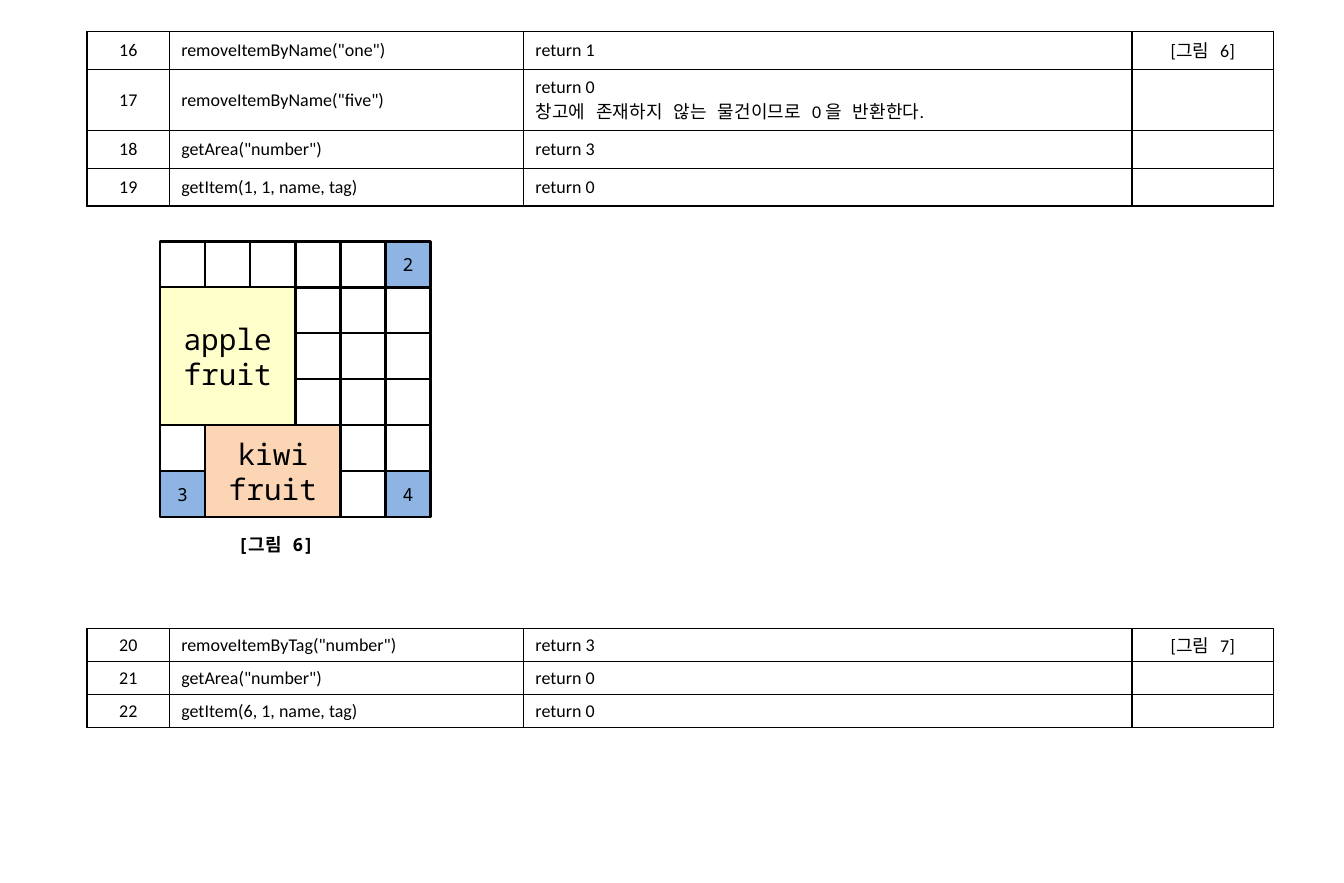
import pptx
import pptx.util
import pptx.dml.color
import pptx.enum.shapes
import pptx.enum.text
import pptx.oxml.ns
import lxml.etree

Inches = pptx.util.Inches
Pt = pptx.util.Pt
RGBColor = pptx.dml.color.RGBColor
Align = pptx.enum.text.PP_ALIGN
Anchor = pptx.enum.text.MSO_ANCHOR
qn = pptx.oxml.ns.qn

BLACK = RGBColor(0x00, 0x00, 0x00)
BLUE = RGBColor(0x8E, 0xB4, 0xE3)
YELLOW = RGBColor(0xFF, 0xFF, 0xCC)
PEACH = RGBColor(0xFC, 0xD5, 0xB5)

TABLE_FONT = "Calibri"
MONO_FONT = "Noto Sans Mono"
COLUMN_WIDTHS = [0.7, 3.01, 5.17, 1.2]
GRID_LEFT, GRID_TOP = 1.36, 2.05
CELL_WIDTH, CELL_HEIGHT = 0.38, 0.39
GRID_SIZE = 6

REMOVE_BY_NAME_CALLS = [
    ("16", 'removeItemByName("one")', "return 1", "[그림 6]"),
    ("17", 'removeItemByName("five")',
     "return 0\n창고에 존재하지 않는 물건이므로 0 을 반환한다.", ""),
    ("18", 'getArea("number")', "return 3", ""),
    ("19", "getItem(1, 1, name, tag)", "return 0", ""),
]
REMOVE_BY_TAG_CALLS = [
    ("20", 'removeItemByTag("number")', "return 3", "[그림 7]"),
    ("21", 'getArea("number")', "return 0", ""),
    ("22", "getItem(6, 1, name, tag)", "return 0", ""),
]
NUMBERED_CELLS = {(0, 5): "2", (5, 0): "3", (5, 5): "4"}
STORED_ITEMS = [
    ("apple fruit", 1, 0, 3, 3, YELLOW),
    ("kiwi fruit", 4, 1, 2, 3, PEACH),
]


class WarehousePage:
    def __init__(self, deck):
        self.page = deck.slides.add_slide(deck.slide_layouts[6])

    def add_text(self, frame, text, font, size=11, align=Align.LEFT, bold=False):
        for index, line in enumerate(text.split("\n")):
            para = frame.paragraphs[0] if index == 0 else frame.add_paragraph()
            para.alignment = align
            if not line:
                ending = lxml.etree.SubElement(para._p, qn("a:endParaRPr"))
                ending.set("sz", str(size * 100))
                continue
            span = para.add_run()
            span.text = line
            span.font.name = font
            span.font.size = Pt(size)
            span.font.bold = bold
            span.font.color.rgb = BLACK
            east_asian = lxml.etree.SubElement(span.font._element, qn("a:ea"))
            east_asian.set("typeface", MONO_FONT)

    def border(self, cell):
        properties = cell._tc.get_or_add_tcPr()
        for index, side in enumerate(("lnL", "lnR", "lnT", "lnB")):
            line = lxml.etree.Element(qn("a:" + side), w=str(Pt(1)))
            fill = lxml.etree.SubElement(line, qn("a:solidFill"))
            lxml.etree.SubElement(fill, qn("a:srgbClr"), val=str(BLACK))
            properties.insert(index, line)

    def table(self, top, calls, heights, margin):
        frame = self.page.shapes.add_table(
            len(calls), len(COLUMN_WIDTHS), Inches(0.74), Inches(top),
            Inches(sum(COLUMN_WIDTHS)), Inches(sum(heights)))
        table = frame.table
        table.first_row = False
        table.horz_banding = False
        for column, width in zip(table.columns, COLUMN_WIDTHS):
            column.width = Inches(width)
        for row, height, texts in zip(table.rows, heights, calls):
            row.height = Inches(height)
            for index, (cell, text) in enumerate(zip(row.cells, texts)):
                cell.fill.background()
                cell.vertical_anchor = Anchor.MIDDLE
                cell.margin_top = cell.margin_bottom = Inches(margin)
                align = Align.CENTER if index in (0, 3) else Align.LEFT
                self.add_text(cell.text_frame, text, TABLE_FONT, align=align)
                self.border(cell)

    def block(self, group, row, column, rows=1, columns=1, color=None, text="", size=11):
        box = group.shapes.add_shape(
            pptx.enum.shapes.MSO_SHAPE.RECTANGLE,
            Inches(GRID_LEFT + column * CELL_WIDTH),
            Inches(GRID_TOP + row * CELL_HEIGHT),
            Inches(columns * CELL_WIDTH), Inches(rows * CELL_HEIGHT))
        box.shadow.inherit = False
        box.line.color.rgb = BLACK
        box.line.width = Pt(1.5)
        if color is None:
            box.fill.background()
        else:
            box.fill.solid()
            box.fill.fore_color.rgb = color
        if text:
            box.text_frame.word_wrap = True
            box.text_frame.vertical_anchor = Anchor.MIDDLE
            self.add_text(box.text_frame, text, MONO_FONT, size, Align.CENTER)

    def warehouse(self):
        group = self.page.shapes.add_group_shape()
        occupied = {
            (row + down, column + across)
            for _, row, column, rows, columns, _ in STORED_ITEMS
            for down in range(rows) for across in range(columns)}
        for row in range(GRID_SIZE):
            for column in range(GRID_SIZE):
                if (row, column) not in occupied:
                    number = NUMBERED_CELLS.get((row, column), "")
                    self.block(group, row, column, text=number,
                               color=BLUE if number else None)
        for name, row, column, rows, columns, color in STORED_ITEMS:
            self.block(group, row, column, rows, columns, color, name, 18)
        group.width = Inches(2.3)

    def caption(self, text):
        box = self.page.shapes.add_textbox(
            Inches(1.92), Inches(4.43), Inches(0.89), Inches(0.32))
        box.text_frame.word_wrap = True
        self.add_text(box.text_frame, text, MONO_FONT, bold=True)
        box.text_frame.paragraphs[0].line_spacing = 1.3


def main():
    deck = pptx.Presentation()
    deck.slide_width = Inches(11.42)
    deck.slide_height = Inches(7.5)
    page = WarehousePage(deck)
    page.table(0.27, REMOVE_BY_NAME_CALLS, [0.32, 0.52, 0.32, 0.32], 0.04)
    page.warehouse()
    page.caption("[그림 6]")
    page.table(5.34, REMOVE_BY_TAG_CALLS, [0.28] * 3, 0.02)
    deck.save("out.pptx")


if __name__ == "__main__":
    main()
